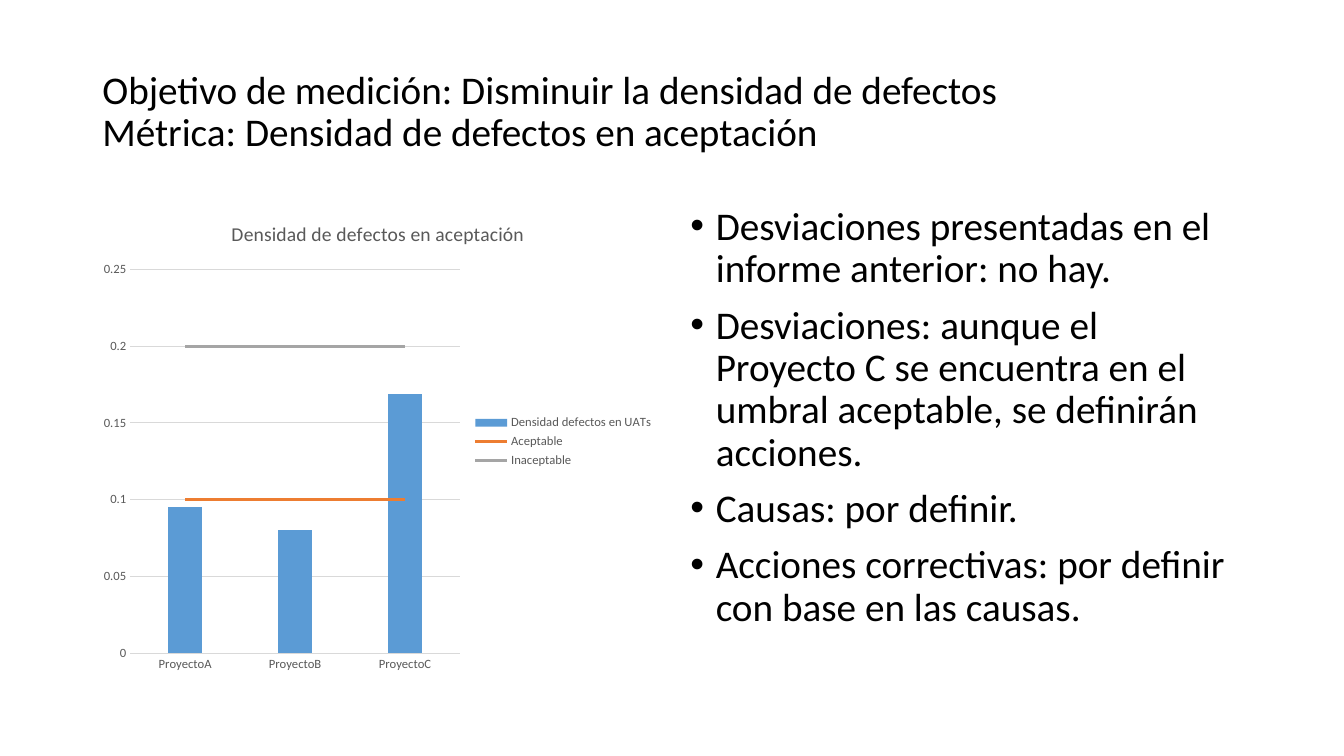
"""Build a slide that reports the defect density metric with a combined chart."""
from lxml.etree import SubElement
from pptx import Presentation
from pptx.chart.data import CategoryChartData
from pptx.dml.color import RGBColor
from pptx.enum.chart import XL_CHART_TYPE, XL_LEGEND_POSITION, XL_MARKER_STYLE, XL_TICK_MARK
from pptx.enum.text import MSO_ANCHOR
from pptx.oxml import parse_xml
from pptx.oxml.ns import nsdecls, qn
from pptx.util import Cm, Pt

FONT = "Calibri"
COLORS = {
    "text": "000000",
    "label": "595959",
    "grid": "D9D9D9",
    "density": "5B9BD5",
    "acceptable": "ED7D31",
    "unacceptable": "A5A5A5",
}
LEFT, BODY_TOP = Cm(2.33), Cm(5.08)
COLUMN_WIDTH, BODY_HEIGHT = Cm(14.39), Cm(12.09)

HEADING = (
    "Objetivo de medición: Disminuir la densidad de defectos\n"
    "Métrica: Densidad de defectos en aceptación"
)
FINDINGS = [
    "Desviaciones presentadas en el informe anterior: no hay.",
    "Desviaciones: aunque el Proyecto C se encuentra en el umbral aceptable, se definirán acciones.",
    "Causas: por definir.",
    "Acciones correctivas: por definir con base en las causas.",
]
CHART_TITLE = "Densidad de defectos en aceptación"
PROJECTS = ["ProyectoA", "ProyectoB", "ProyectoC"]
MEASURES = {
    "Densidad defectos en UATs": [0.095, 0.08, 0.169],
    "Aceptable": [0.1] * 3,
    "Inaceptable": [0.2] * 3,
}


def rgb(name):
    return RGBColor.from_string(COLORS[name])


def style_font(font, size, color):
    font.name = FONT
    font.size = Pt(size)
    font.bold = False
    font.color.rgb = rgb(color)


def style_line(line, color, width):
    line.color.rgb = rgb(color)
    line.width = Pt(width)


def add_text_frame(slide, left, top, width, height):
    frame = slide.shapes.add_textbox(left, top, width, height).text_frame
    frame.word_wrap = True
    return frame


def write_paragraph(paragraph, wording):
    paragraph.text = wording
    paragraph.line_spacing = 0.9
    for run in paragraph.runs:
        style_font(run.font, 28, "text")


def add_bullet(paragraph):
    properties = paragraph._p.get_or_add_pPr()
    properties.set("marL", str(Cm(0.64)))
    properties.set("indent", str(-Cm(0.64)))
    SubElement(properties, qn("a:buFont")).set("typeface", "Arial")
    SubElement(properties, qn("a:buChar")).set("char", "•")


def add_heading(slide):
    frame = add_text_frame(slide, LEFT, Cm(1.01), Cm(29.21), Cm(3.68))
    frame.vertical_anchor = MSO_ANCHOR.MIDDLE
    write_paragraph(frame.paragraphs[0], HEADING)


def add_findings(slide):
    frame = add_text_frame(slide, Cm(17.15), BODY_TOP, COLUMN_WIDTH, BODY_HEIGHT)
    for index, finding in enumerate(FINDINGS):
        paragraph = frame.add_paragraph() if index else frame.paragraphs[0]
        add_bullet(paragraph)
        write_paragraph(paragraph, finding)
        if index:
            paragraph.space_before = Pt(10)


def move_thresholds_to_lines(chart):
    """Move every series after the first into a line plot on the same axes."""
    bars = chart.plots[0]._element
    lines = parse_xml(
        f'<c:lineChart {nsdecls("c")}><c:grouping val="standard"/>'
        '<c:varyColors val="0"/></c:lineChart>'
    )
    for threshold in bars.findall(qn("c:ser"))[1:]:
        for bar_setting in threshold.findall(qn("c:invertIfNegative")):
            threshold.remove(bar_setting)
        lines.append(threshold)
    SubElement(lines, qn("c:marker")).set("val", "1")
    for axis_id in bars.findall(qn("c:axId")):
        SubElement(lines, qn("c:axId")).set("val", axis_id.get("val"))
    bars.addnext(lines)


def style_axes(chart):
    for axis in (chart.category_axis, chart.value_axis):
        axis.major_tick_mark = axis.minor_tick_mark = XL_TICK_MARK.NONE
        style_font(axis.tick_labels.font, 9, "label")
    style_line(chart.category_axis.format.line, "grid", 0.75)
    density_axis = chart.value_axis
    density_axis.minimum_scale, density_axis.maximum_scale = 0, 0.25
    density_axis.major_unit = 0.05
    density_axis.format.line.fill.background()
    style_line(density_axis.major_gridlines.format.line, "grid", 0.75)


def add_density_chart(slide):
    measures = CategoryChartData()
    measures.categories = PROJECTS
    for name, values in MEASURES.items():
        measures.add_series(name, values)
    chart = slide.shapes.add_chart(
        XL_CHART_TYPE.COLUMN_CLUSTERED, LEFT, BODY_TOP, COLUMN_WIDTH, BODY_HEIGHT, measures
    ).chart
    style_font(chart.font, 10, "text")
    move_thresholds_to_lines(chart)

    columns, thresholds = chart.plots
    columns.gap_width = 219
    columns.vary_by_categories = False
    density_fill = columns.series[0].format.fill
    density_fill.solid()
    density_fill.fore_color.rgb = rgb("density")
    for series, color in zip(thresholds.series, ("acceptable", "unacceptable")):
        style_line(series.format.line, color, 2.25)
        series.marker.style = XL_MARKER_STYLE.NONE
        series.smooth = False

    style_axes(chart)
    chart.has_title = True
    title = chart.chart_title.text_frame
    title.text = CHART_TITLE
    style_font(title.paragraphs[0].runs[0].font, 14, "label")
    chart.has_legend = True
    chart.legend.position = XL_LEGEND_POSITION.RIGHT
    chart.legend.include_in_layout = False
    style_font(chart.legend.font, 9, "label")


def main():
    presentation = Presentation()
    presentation.slide_width, presentation.slide_height = Cm(33.87), Cm(19.05)
    slide = presentation.slides.add_slide(presentation.slide_layouts[6])
    add_heading(slide)
    add_findings(slide)
    add_density_chart(slide)
    presentation.save("out.pptx")


if __name__ == "__main__":
    main()
